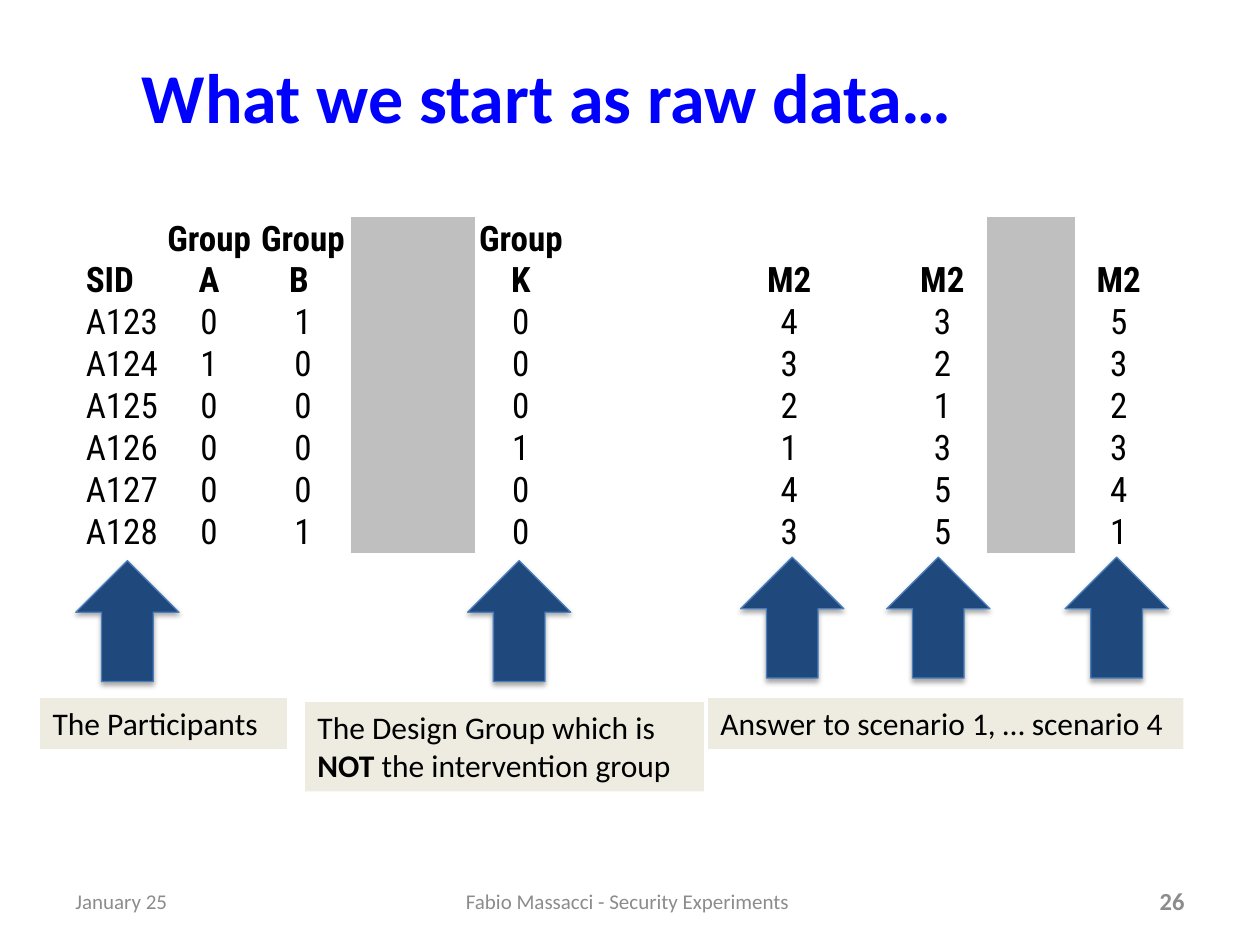
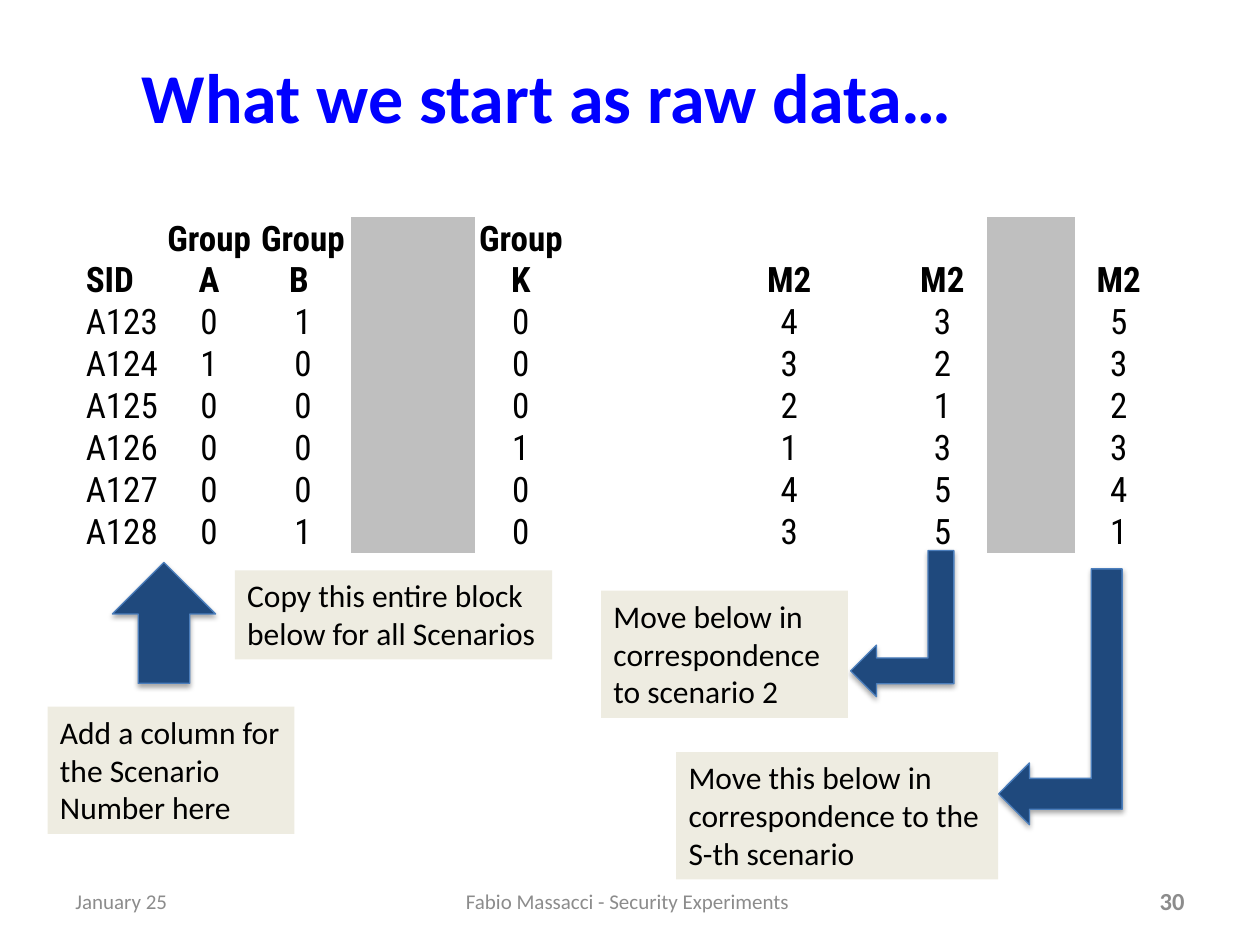
from lxml.etree import SubElement
from pptx import Presentation
from pptx.dml.color import RGBColor
from pptx.enum.shapes import MSO_SHAPE
from pptx.enum.text import MSO_ANCHOR, PP_ALIGN
from pptx.oxml.ns import qn
from pptx.util import Pt

COLORS = {
    "title": "0000FF", "text": "000000", "footer": "8C8C8C", "gap": "BFBFBF",
    "arrow": "1F497D", "arrow_edge": "4B7EBC", "caption": "EEECE1", "shadow": "000000",
}
FONTS = {
    "title": {"name": "Calibri", "size": Pt(40), "bold": True},
    "caption": {"name": "Calibri", "size": Pt(18), "bold": False},
    "footer": {"name": "Calibri", "size": Pt(12), "bold": False},
    "number": {"name": "Calibri", "size": Pt(14), "bold": True},
    "data": {"name": "Roboto Condensed", "size": Pt(20), "bold": False},
    "header": {"name": "Roboto Condensed", "size": Pt(20), "bold": True},
}
INKS = {"title": "title", "footer": "footer", "number": "footer"}
NO_GRID_STYLE = "{2D5ABB26-0587-4C30-8999-92F81FD0307C}"
CELL_FORMAT = {
    "margin_left": 0, "margin_right": 0, "margin_top": 0, "margin_bottom": 0,
    "vertical_anchor": MSO_ANCHOR.BOTTOM,
}
TITLE = "What we start as raw data…"
COLUMN_WIDTHS = [44.6, 51.8, 55.4, 70.6, 52.6, 64.8, 124.6, 50.4, 50.4, 50.4]
HEADER_HEIGHT, ROW_HEIGHT = 47.2, 23.8
GAP_COLUMNS = (3, 8)
RAW_DATA = [
    ["SID", "Group A", "Group B ", "", "Group K", "", "M2", "M2", "", "M2"],
    ["A123", "0", "1", "", "0", "", "4", "3", "", "5"],
    ["A124", "1", "0", "", "0", "", "3", "2", "", "3"],
    ["A125", "0", "0", "", "0", "", "2", "1", "", "2"],
    ["A126", "0", "0", "", "1", "", "1", "3", "", "3"],
    ["A127", "0", "0", "", "0", "", "4", "5", "", "4"],
    ["A128", "0", "1", "", "0", "", "3", "5", "", "1"],
]
ARROW_SIZE = (59, 69.1)


def rgb(name):
    """Return the named colour."""
    return RGBColor.from_string(COLORS[name])


def set_format(target, values):
    """Set each attribute of the target from a dict."""
    for name, value in values.items():
        setattr(target, name, value)


class Deck:
    """Hold the style and the current slide."""

    def __init__(self):
        """Start an empty presentation of 10 by 7.5 inches."""
        self.presentation = Presentation()
        set_format(self.presentation, {"slide_width": Pt(720), "slide_height": Pt(540)})
        self.slide = None

    def start(self, number):
        """Add a slide with the title, raw data and footer."""
        self.slide = self.presentation.slides.add_slide(self.presentation.slide_layouts[6])
        self.label((36, 21.6, 553, 65.5), TITLE, "title", PP_ALIGN.CENTER)
        self.raw_data()
        footers = [
            (36, 168, "January 25", "footer", PP_ALIGN.LEFT),
            (246, 228, "Fabio Massacci - Security Experiments ", "footer", PP_ALIGN.CENTER),
            (516, 168, number, "number", PP_ALIGN.RIGHT),
        ]
        for left, width, words, style, align in footers:
            self.label((left, 500.5, width, 28.8), words, style, align)

    def words(self, paragraph, words, style, align=PP_ALIGN.LEFT, **changes):
        """Add a styled run to a paragraph."""
        paragraph.alignment = align
        run = paragraph.add_run()
        run.text = words
        set_format(run.font, {**FONTS[style], **changes})
        run.font.color.rgb = rgb(INKS.get(style, "text"))

    def label(self, place, words, style, align):
        """Add a vertically centred text box."""
        frame = self.slide.shapes.add_textbox(*map(Pt, place)).text_frame
        set_format(frame, {"word_wrap": True, "vertical_anchor": MSO_ANCHOR.MIDDLE})
        self.words(frame.paragraphs[0], words, style, align)

    def raw_data(self):
        """Add the table of participants, groups and answers."""
        height = HEADER_HEIGHT + ROW_HEIGHT * (len(RAW_DATA) - 1)
        place = map(Pt, (49, 124, sum(COLUMN_WIDTHS), height))
        holder = self.slide.shapes.add_table(len(RAW_DATA), len(COLUMN_WIDTHS), *place)
        table = holder.table
        set_format(table, {"first_row": False, "horz_banding": False})
        for style_id in holder.element.iter(qn("a:tableStyleId")):
            style_id.text = NO_GRID_STYLE
        for column, width in zip(table.columns, COLUMN_WIDTHS):
            column.width = Pt(width)
        for row_index, values in enumerate(RAW_DATA):
            table.rows[row_index].height = Pt(ROW_HEIGHT if row_index else HEADER_HEIGHT)
            for column_index, value in enumerate(values):
                cell = table.cell(row_index, column_index)
                set_format(cell, CELL_FORMAT)
                if column_index in GAP_COLUMNS:
                    cell.fill.solid()
                    cell.fill.fore_color.rgb = rgb("gap")
                else:
                    cell.fill.background()
                if value:
                    align = PP_ALIGN.CENTER if column_index else PP_ALIGN.LEFT
                    style = "data" if row_index else "header"
                    self.words(cell.text_frame.paragraphs[0], value, style, align)

    def block(self, kind, place, color):
        """Add a filled preset shape without a shadow."""
        block = self.slide.shapes.add_shape(kind, *map(Pt, place))
        block.fill.solid()
        block.fill.fore_color.rgb = rgb(color)
        block.shadow.inherit = False
        return block

    def arrow(self, kind, place):
        """Add an outlined arrow with a soft shadow."""
        arrow = self.block(kind, place, "arrow")
        arrow.line.color.rgb = rgb("arrow_edge")
        arrow.line.width = Pt(0.75)
        effects = arrow.element.spPr.find(qn("a:effectLst"))
        shadow = SubElement(effects, qn("a:outerShdw"), blurRad=str(Pt(3.1)),
                            dist=str(Pt(1.8)), dir="5400000", rotWithShape="0")
        shade = SubElement(shadow, qn("a:srgbClr"), val=COLORS["shadow"])
        SubElement(shade, qn("a:alpha"), val="35000")
        return arrow

    def up_arrow(self, left, top):
        """Add an arrow that points up at a column."""
        self.arrow(MSO_SHAPE.UP_ARROW, (left, top, *ARROW_SIZE))

    def move_arrow(self, place):
        """Add an arrow that goes down and turns left."""
        arrow = self.arrow(MSO_SHAPE.BENT_UP_ARROW, place)
        arrow.rotation = 270
        arrow.element.spPr.find(qn("a:xfrm")).set("flipH", "1")

    def caption(self, place, *parts):
        """Add a beige box whose every second part is bold."""
        caption = self.block(MSO_SHAPE.RECTANGLE, place, "caption")
        caption.line.fill.background()
        frame = caption.text_frame
        set_format(frame, {"word_wrap": True, "vertical_anchor": MSO_ANCHOR.TOP})
        for index, words in enumerate(parts):
            self.words(frame.paragraphs[0], words, "caption", bold=index % 2 == 1)


def main():
    """Build both slides and save them."""
    deck = Deck()

    deck.start("26")
    for left, top in [(267.2, 320.4), (43.3, 320.4), (423.2, 318.4), (506.7, 318.4), (608.6, 318.4)]:
        deck.up_arrow(left, top)
    deck.caption((23, 398.9, 141, 29.1), "The Participants")
    deck.caption((404.6, 398.9, 271.6, 29.1), "Answer to scenario 1, … scenario 4")
    deck.caption((174.3, 401.3, 228, 50.9),
                 "The Design Group which is ", "NOT ", "the intervention group")

    deck.start("30")
    deck.up_arrow(64.2, 321.4)
    deck.caption((134.2, 325.9, 181.4, 50.9), "Copy this entire block below for all Scenarios")
    deck.move_arrow((532.8, 362.9, 146.2, 70.6))
    deck.move_arrow((473.8, 326.9, 83.5, 59))
    deck.caption((343.5, 337.5, 141, 72.7), "Move below in correspondence to scenario 2")
    deck.caption((27.2, 403.8, 141, 72.7), "Add a column for the Scenario Number here")
    deck.caption((386.4, 429.8, 184, 72.7),
                 "Move this below in correspondence to the S-th scenario")

    deck.presentation.save("out.pptx")


if __name__ == "__main__":
    main()
